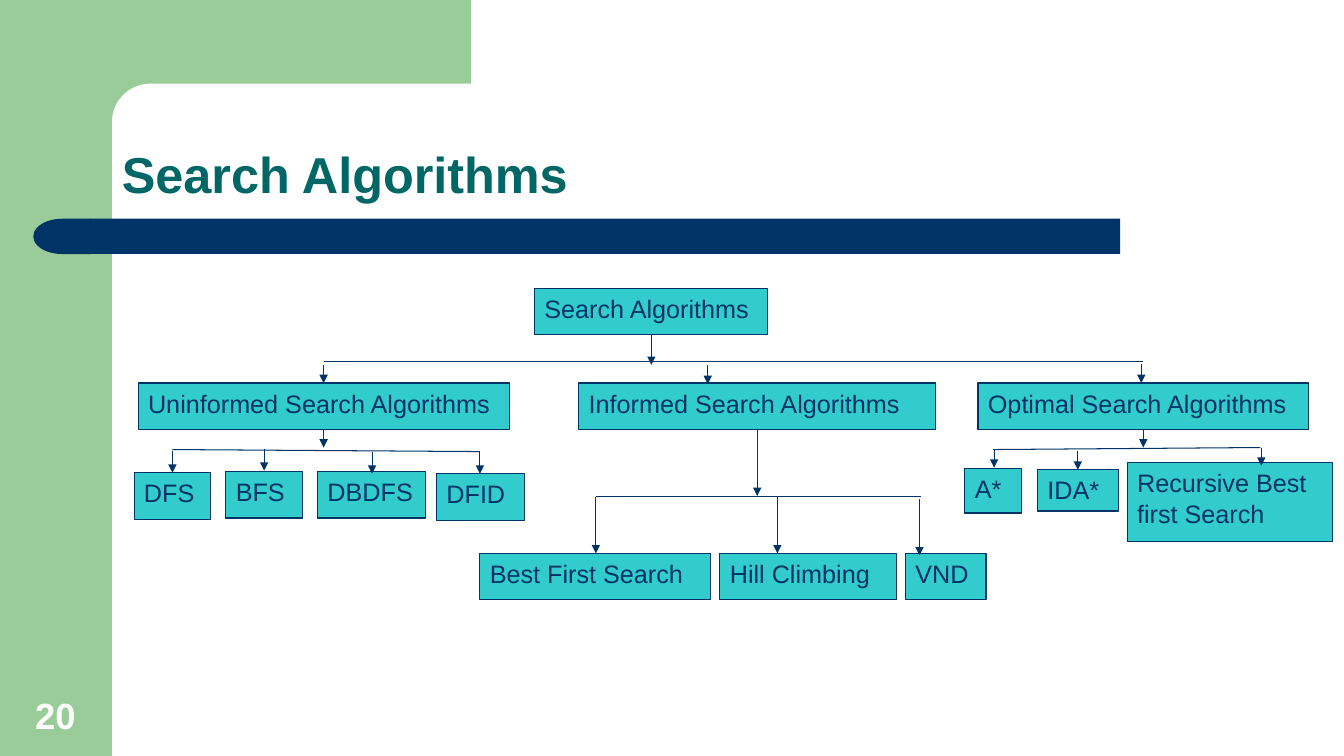
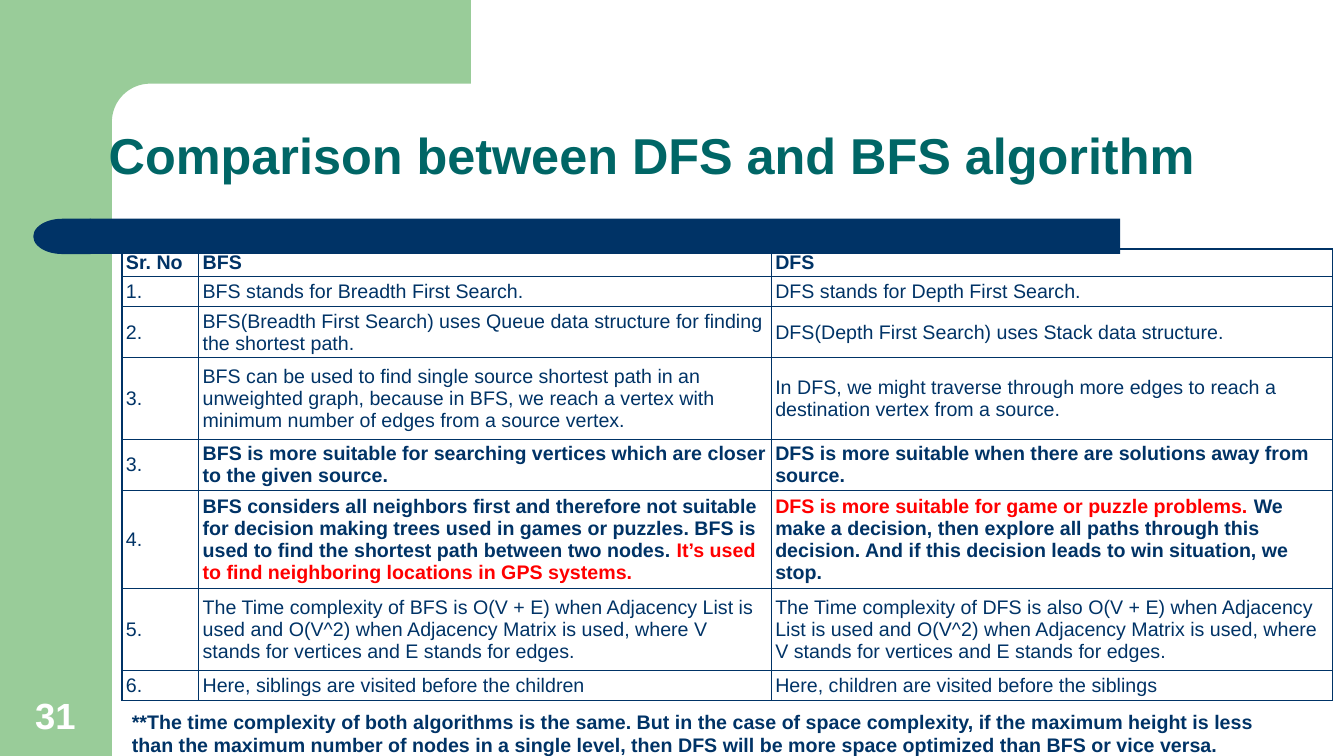
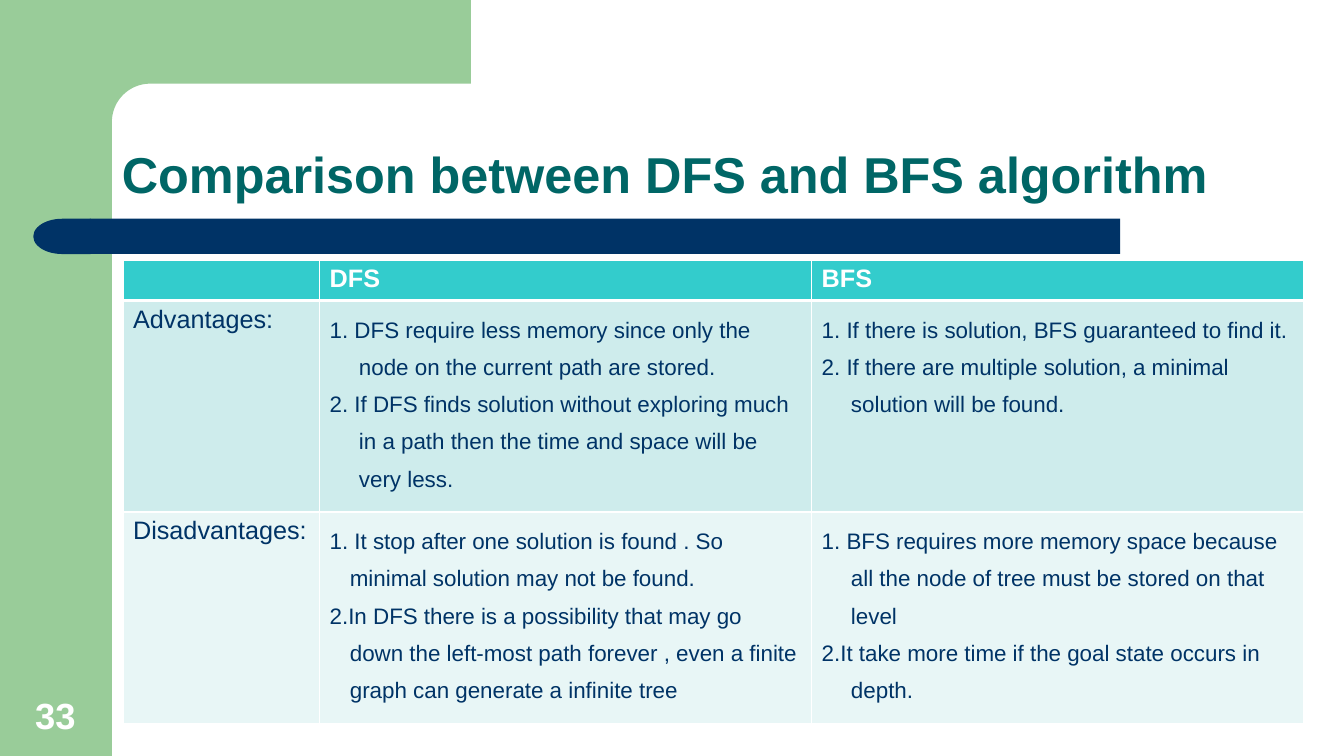
from math import cos, pi, sin

from lxml.etree import SubElement
from pptx import Presentation
from pptx.dml.color import RGBColor
from pptx.enum.shapes import MSO_CONNECTOR, MSO_SHAPE
from pptx.enum.text import MSO_ANCHOR, PP_ALIGN
from pptx.oxml.ns import qn
from pptx.util import Pt

PX = 9144  # EMU in one px, 100 px to the inch
COLORS = {
    "green": "99CC99", "navy": "003366", "teal": "006666", "turquoise": "33CCCC",
    "pale": "CEECEC", "paler": "E8F6F6", "white": "FFFFFF", "red": "FF0000",
}
RGB = {name: RGBColor.from_string(value) for name, value in COLORS.items()}
TITLE = {"size": 36, "bold": True, "color": "teal", "spacing": 0.9, "anchor": MSO_ANCHOR.BOTTOM}
NUMBER = {"size": 26, "bold": True, "color": "white", "align": PP_ALIGN.CENTER,
          "anchor": MSO_ANCHOR.BOTTOM}
NODE = {"size": 18}
NOTE = {"size": 14, "bold": True}


def write(holder, paragraphs, style):
    """Fill a text frame or cell; a paragraph is a string or a list of (text, color) runs."""
    frame = getattr(holder, "text_frame", holder)
    frame.word_wrap = True
    holder.vertical_anchor = style.get("anchor", MSO_ANCHOR.TOP)
    for index, content in enumerate(paragraphs):
        paragraph = frame.add_paragraph() if index else frame.paragraphs[0]
        paragraph.alignment = style.get("align", PP_ALIGN.LEFT)
        if "spacing" in style:
            paragraph.line_spacing = style["spacing"]
        if "indent" in style:
            properties = paragraph._p.get_or_add_pPr()
            properties.set("marL", str(style["indent"] * PX))
            properties.set("indent", str(-style["indent"] * PX))
        base_color = style.get("color", "navy")
        runs = [(content, base_color)] if isinstance(content, str) else content
        for text, color in runs:
            run = paragraph.add_run()
            run.text = text
            values = {"name": "Arial", "size": Pt(style["size"]), "bold": style.get("bold", False)}
            for name, value in values.items():
                setattr(run.font, name, value)
            run.font.color.rgb = RGB[color]


def format_cell(cell, fill, border, bottom_width=1):
    if fill:
        cell.fill.solid()
        cell.fill.fore_color.rgb = RGB[fill]
    else:
        cell.fill.background()
    properties = cell._tc.get_or_add_tcPr()
    for index, side in enumerate(("lnL", "lnR", "lnT", "lnB")):
        width = bottom_width if side == "lnB" else 1
        line = SubElement(properties, qn(f"a:{side}"), w=str(Pt(width)))
        SubElement(SubElement(line, qn("a:solidFill")), qn("a:srgbClr"), val=COLORS[border])
        properties.insert(index, line)


presentation = Presentation()
presentation.slide_width = 1333 * PX
presentation.slide_height = 750 * PX

# Shared frame, title and number
PAGES = [
    ("Search Algorithms", 111, 83, "20"),
    ("Comparison between DFS and BFS algorithm", 98, 64, "31"),
    ("Comparison between DFS and BFS algorithm", 111, 83, "33"),
]
BANDS = [
    (MSO_SHAPE.RECTANGLE, 0, 0, 111, 750, "green", 0),
    (MSO_SHAPE.RECTANGLE, 89, 217, 1022, 35, "navy", 0),
    (MSO_SHAPE.FLOWCHART_DELAY, 33, 217, 57, 35, "navy", 180),
]
RADIUS, STEPS = 38, 24
corner_arc = [
    (149 - RADIUS * sin(step * pi / 2 / STEPS), 121 - RADIUS * cos(step * pi / 2 / STEPS))
    for step in range(STEPS + 1)
]
corner_points = [(467, 83), *corner_arc, (111, 128), (67, 128), (67, 0)]

slides = []
for title, left, top, number in PAGES:
    slide = presentation.slides.add_slide(presentation.slide_layouts[6])
    slides.append(slide)
    builder = slide.shapes.build_freeform(467 * PX, 0)
    builder.add_line_segments([(x * PX, y * PX) for x, y in corner_points], close=True)
    decorations = [(builder.convert_to_shape(), "green")]
    for kind, x, y, width, height, color, rotation in BANDS:
        shape = slide.shapes.add_shape(kind, x * PX, y * PX, width * PX, height * PX)
        shape.rotation = rotation
        decorations.append((shape, color))
    for shape, color in decorations:
        shape.shadow.inherit = False
        shape.fill.solid()
        shape.fill.fore_color.rgb = RGB[color]
        shape.line.fill.background()
    title_box = slide.shapes.add_textbox(left * PX, top * PX, 1156 * PX, 125 * PX)
    write(title_box.text_frame, [title], TITLE)
    number_box = slide.shapes.add_textbox(12 * PX, 683 * PX, 86 * PX, 53 * PX)
    write(number_box.text_frame, [number], NUMBER)

tree_slide, comparison_slide, advantages_slide = slides

# Tree of search algorithms
NODES = [
    ("Search Algorithms", 530, 286, 231, 46),
    ("Uninformed Search Algorithms", 137, 380, 368, 46),
    ("Informed Search Algorithms", 574, 380, 354, 46),
    ("Optimal Search Algorithms", 970, 380, 328, 46),
    ("DFS", 133, 469, 76, 46),
    ("BFS", 224, 468, 76, 46),
    ("DBDFS", 315, 468, 107, 46),
    ("DFID", 433, 470, 87, 46),
    ("Best First Search", 476, 549, 229, 46),
    ("Hill Climbing", 714, 549, 175, 46),
    ("VND", 898, 549, 80, 46),
    ("A*", 957, 465, 56, 44),
    ("IDA*", 1029, 466, 80, 41),
    ("Recursive Best first Search", 1118, 459, 204, 78),
]
BRANCHES = [(321, 359, 1134, 359), (171, 446, 476, 448), (591, 493, 913, 493), (985, 446, 1250, 444)]
ARROWS = [  # x, top, bottom
    (646, 331, 362), (321, 362, 380), (702, 362, 381), (1132, 361, 380),
    (321, 426, 444), (171, 447, 469), (262, 445, 467), (369, 448, 470), (476, 448, 470),
    (751, 426, 492), (591, 493, 549), (771, 493, 549), (912, 495, 551),
    (1134, 426, 444), (986, 446, 464), (1069, 447, 466), (1251, 444, 462),
]
for text, *box in NODES:
    node = tree_slide.shapes.add_shape(MSO_SHAPE.RECTANGLE, *(length * PX for length in box))
    node.shadow.inherit = False
    node.fill.solid()
    node.fill.fore_color.rgb = RGB["turquoise"]
    node.line.color.rgb = RGB["navy"]
    node.line.width = Pt(0.75)
    write(node.text_frame, [text], NODE)

links = [(ends, False) for ends in BRANCHES]
links += [((x, top, x, bottom), True) for x, top, bottom in ARROWS]
for ends, has_head in links:
    link = tree_slide.shapes.add_connector(MSO_CONNECTOR.STRAIGHT, *(length * PX for length in ends))
    link.line.color.rgb = RGB["navy"]
    link.line.width = Pt(0.75)
    if has_head:
        SubElement(link.line._get_or_add_ln(), qn("a:tailEnd"), type="triangle")
    SubElement(link._element.spPr, qn("a:effectLst"))

# Point by point comparison
COMPARISON = [  # height, bold, cells
    (26, True, ["Sr. No", "BFS", "DFS"]),
    (30, False, ["1.", "BFS stands for Breadth First Search.", "DFS stands for Depth First Search."]),
    (48, False, [
        "2.",
        "BFS(Breadth First Search) uses Queue data structure for finding the shortest path.",
        "DFS(Depth First Search) uses Stack data structure."]),
    (81, False, [
        "3.",
        "BFS can be used to find single source shortest path in an unweighted graph, because in "
        "BFS, we reach a vertex with minimum number of edges from a source vertex.",
        "In DFS, we might traverse through more edges to reach a destination vertex from a source."]),
    (48, True, [
        "3.",
        "BFS is more suitable for searching vertices which are closer to the given source.",
        "DFS is more suitable when there are solutions away from source."]),
    (92, True, [
        "4.",
        [("BFS considers all neighbors first and therefore not suitable for decision making trees "
          "used in games or puzzles. BFS is used to find the shortest path between two nodes. ", "navy"),
         ("It’s used to find neighboring locations in GPS systems.", "red")],
        [("DFS is more suitable for game or puzzle problems. ", "red"),
         ("We make a decision, then explore all paths through this decision. And if this decision "
          "leads to win situation, we stop.", "navy")]]),
    (81, False, [
        "5.",
        "The Time complexity of BFS is O(V + E) when Adjacency List is used and O(V^2) when "
        "Adjacency Matrix is used, where V stands for vertices and E stands for edges.",
        "The Time complexity of DFS is also O(V + E) when Adjacency List is used and O(V^2) when "
        "Adjacency Matrix is used, where V stands for vertices and E stands for edges."]),
    (30, False, [
        "6.",
        "Here, siblings are visited before the children",
        "Here, children are visited before the siblings"]),
]
MARGINS = {"margin_left": 4, "margin_right": 4, "margin_top": 2, "margin_bottom": 2}

# Advantages and disadvantages
ADVANTAGES = [  # height, fill, cells as (paragraphs, style)
    (40, "turquoise", [
        ([], {}),
        (["DFS"], {"size": 18, "bold": True, "color": "white"}),
        (["BFS"], {"size": 18, "bold": True, "color": "white"})]),
    (195, "pale", [
        (["Advantages:"], {"size": 18}),
        (["1. DFS require less memory since only the node on the current path are stored.",
          "2. If DFS finds solution without exploring much in a path then the time and space will "
          "be very less."], {"size": 16, "spacing": 1.5, "indent": 29}),
        (["1. If there is solution, BFS guaranteed to find it.",
          "2. If there are multiple solution, a minimal solution will be found."],
         {"size": 16, "spacing": 1.5, "indent": 29})]),
    (195, "paler", [
        (["Disadvantages:"], {"size": 18}),
        (["1. It stop after one solution is found . So minimal solution may not be found.",
          "2.In DFS there is a possibility that may go down the left-most path forever , even a "
          "finite graph can generate a infinite tree"], {"size": 16, "spacing": 1.5, "indent": 20}),
        (["1. BFS requires more memory space because all the node of tree must be stored on that level",
          "2.It take more time if the goal state occurs in depth."],
         {"size": 16, "spacing": 1.5, "indent": 29})]),
]

tables = []
for slide, left, top, widths, rows in [
    (comparison_slide, 121, 247, (76, 568, 557), COMPARISON),
    (advantages_slide, 122, 258, (195, 488, 488), ADVANTAGES),
]:
    heights = [row[0] for row in rows]
    table = slide.shapes.add_table(len(rows), len(widths), left * PX, top * PX,
                                   sum(widths) * PX, sum(heights) * PX).table
    table.first_row = table.horz_banding = False
    for column, width in zip(table.columns, widths):
        column.width = width * PX
    for row, height in zip(table.rows, heights):
        row.height = height * PX
    tables.append(table)

comparison_table, advantages_table = tables
for row, (height, bold, contents) in enumerate(COMPARISON):
    for column, content in enumerate(contents):
        cell = comparison_table.cell(row, column)
        for name, margin in MARGINS.items():
            setattr(cell, name, margin * PX)
        is_bold = bold and (row == 0 or column > 0)
        write(cell, [content], {"size": 14, "bold": is_bold, "anchor": MSO_ANCHOR.MIDDLE})
        format_cell(cell, None, "navy")

for row, (height, fill, contents) in enumerate(ADVANTAGES):
    for column, (paragraphs, style) in enumerate(contents):
        cell = advantages_table.cell(row, column)
        write(cell, paragraphs, style)
        format_cell(cell, fill, "white", bottom_width=1 if row else 3)

note_box = comparison_slide.shapes.add_textbox(121 * PX, 699 * PX, 1174 * PX, 57 * PX)
write(note_box.text_frame, [
    "**The time complexity of both algorithms is the same. But in the case of space complexity, if "
    "the maximum height is less than the maximum number of nodes in a single level, then DFS will be "
    "more space optimized than BFS or vice versa."], NOTE)

presentation.save("out.pptx")
